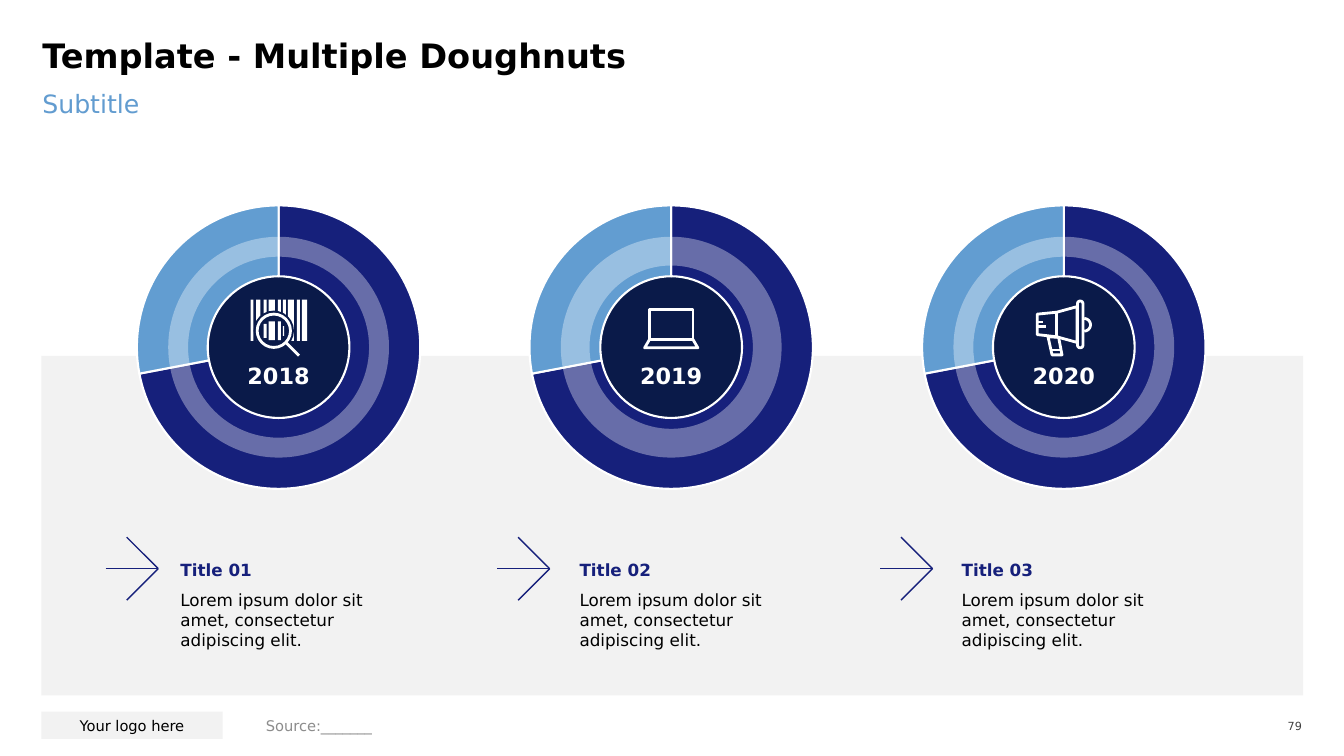
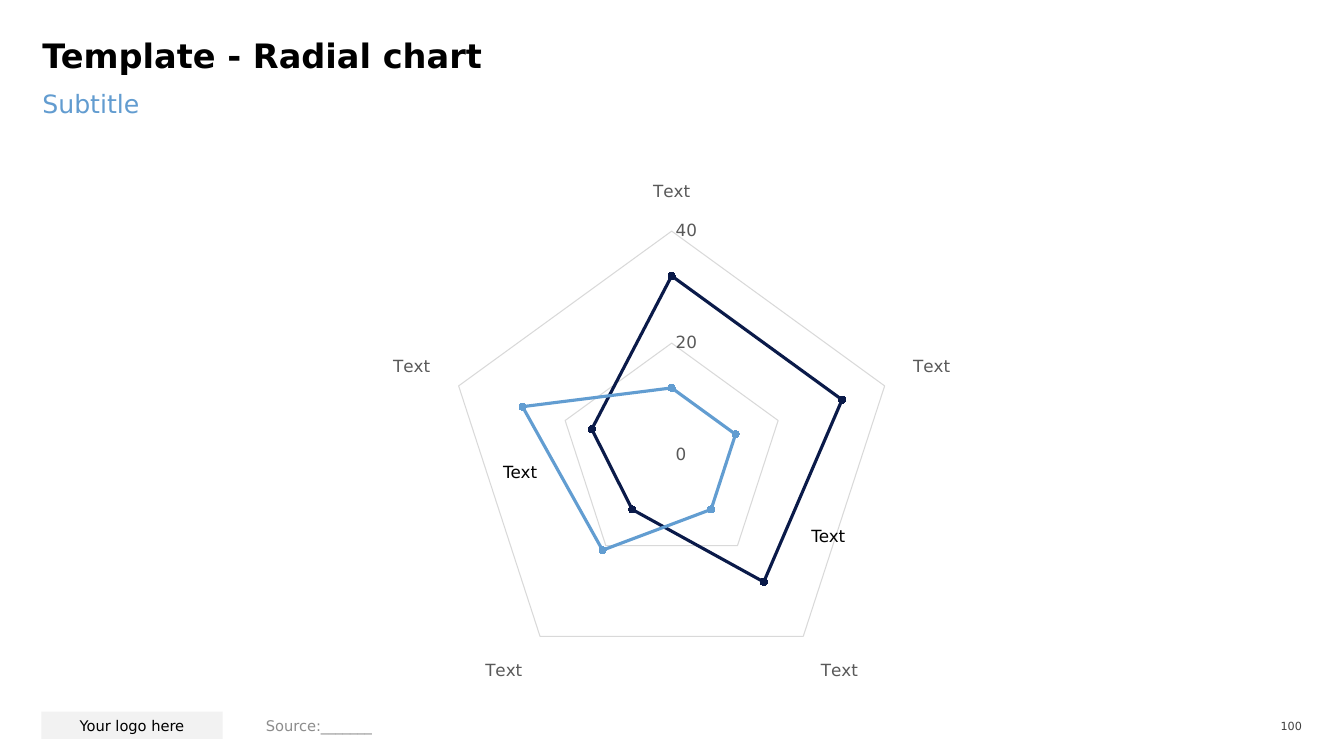
"""Build a doughnut slide and a radar slide in one shared style."""
from dataclasses import dataclass
from math import cos, pi, sin

from lxml.etree import SubElement
from pptx import Presentation
from pptx.chart.data import CategoryChartData
from pptx.dml.color import RGBColor
from pptx.enum.chart import XL_CHART_TYPE as ChartType
from pptx.enum.chart import XL_MARKER_STYLE as Marker
from pptx.enum.chart import XL_TICK_MARK as Tick
from pptx.enum.shapes import MSO_CONNECTOR as Connector
from pptx.enum.shapes import MSO_SHAPE as Preset
from pptx.enum.text import MSO_ANCHOR as Anchor
from pptx.enum.text import PP_ALIGN as Align
from pptx.oxml import parse_xml
from pptx.oxml.ns import nsdecls, qn
from pptx.util import Pt


@dataclass(frozen=True)
class Theme:
    font: str = "DejaVu Sans"
    black: str = "000000"
    white: str = "FFFFFF"
    panel: str = "F2F2F2"
    night: str = "0A1A49"
    navy: str = "16207B"
    sky: str = "629DD1"
    subtitle: str = "629CD0"
    source: str = "8C8C8C"
    number: str = "404040"
    label: str = "595959"
    grid: str = "D9D9D9"
    title_size: float = 24
    subtitle_size: float = 18
    year_size: float = 16
    body_size: float = 12
    footer_size: float = 10.5
    chart_size: float = 10
    number_size: float = 8


THEME = Theme()
NO_INSETS = (0, 0, 0, 0)
BODY_INSETS = (0, 3.6, 7.2, 3.6)
DEFAULT_INSETS = (7.2, 3.6, 7.2, 3.6)
RING_Y = 248
RING_LEFT, RING_PITCH = 199, 280.45
ICON_SIZE, ICON_TOP = 40, 214


def rgb(color):
    return RGBColor.from_string(color)


def centred(x, y, size):
    return x - size / 2, y - size / 2, size, size


class Deck:
    """Hold the style and the current slide, and add each kind of element."""

    def __init__(self):
        self.presentation = Presentation()
        self.presentation.slide_width = Pt(960)
        self.presentation.slide_height = Pt(540)
        self.slide = None

    def start(self, title, number):
        self.slide = self.presentation.slides.add_slide(self.presentation.slide_layouts[6])
        self.text((900, 510.5, 30, 16.5), number, THEME.number_size, THEME.number,
                  align=Align.RIGHT, anchor=Anchor.MIDDLE, insets=NO_INSETS)
        logo = self.shape(Preset.RECTANGLE, (29.5, 508.3, 129.6, 19.5), THEME.panel)
        self.label(logo, "Your logo here", THEME.footer_size, THEME.black,
                   align=Align.CENTER, anchor=Anchor.MIDDLE)
        self.text((30.25, 63.4, 899.3, 45.4), "Subtitle", THEME.subtitle_size, THEME.subtitle,
                  insets=NO_INSETS)
        heading = self.text((30.25, 30.25, 899.3, 38.2), title, THEME.title_size, THEME.black,
                            bold=True, insets=NO_INSETS)
        heading.text_frame.paragraphs[0].line_spacing = 0.8
        self.text((182.9, 509, 460, 18.7), "Source:_______", THEME.footer_size, THEME.source,
                  anchor=Anchor.MIDDLE)

    def label(self, shape, text, size, color, bold=False, align=Align.LEFT,
              anchor=Anchor.TOP, insets=DEFAULT_INSETS, wrap=True):
        frame = shape.text_frame
        frame.text = text
        frame.word_wrap = wrap
        frame.vertical_anchor = anchor
        frame.margin_left, frame.margin_top, frame.margin_right, frame.margin_bottom = map(Pt, insets)
        for paragraph in frame.paragraphs:
            paragraph.alignment = align
            for run in paragraph.runs:
                self.style(run.font, size, color, bold)

    def style(self, font, size, color, bold=False):
        font.name = THEME.font
        font.size = Pt(size)
        font.bold = bold
        font.color.rgb = rgb(color)

    def text(self, box, text, size, color, **options):
        shape = self.slide.shapes.add_textbox(*map(Pt, box))
        self.label(shape, text, size, color, **options)
        return shape

    def paint(self, shape, fill=None, line=None, width=1):
        shape.shadow.inherit = False
        if fill:
            shape.fill.solid()
            shape.fill.fore_color.rgb = rgb(fill)
        else:
            shape.fill.background()
        if line:
            shape.line.color.rgb = rgb(line)
            shape.line.width = Pt(width)
        else:
            shape.line.fill.background()

    def shape(self, preset, box, fill=None, line=None, width=1, opacity=None):
        shape = self.slide.shapes.add_shape(preset, *map(Pt, box))
        self.paint(shape, fill, line, width)
        if opacity is not None:
            color = shape._element.spPr.find(f"{qn('a:solidFill')}/{qn('a:srgbClr')}")
            SubElement(color, qn("a:alpha"), val=str(opacity * 1000))
        return shape

    def outline(self, contours, origin, closed=True, **paint):
        left, top = origin
        placed = [[(Pt(left + x), Pt(top + y)) for x, y in points] for points in contours]
        builder = self.slide.shapes.build_freeform(*placed[0][0], scale=1)
        for index, points in enumerate(placed):
            if index:
                builder.move_to(*points[0])
            builder.add_line_segments(points[1:], close=closed)
        self.paint(builder.convert_to_shape(), **paint)

    def line(self, start, end, color, width=1, shapes=None):
        shapes = self.slide.shapes if shapes is None else shapes
        connector = shapes.add_connector(Connector.STRAIGHT, *map(Pt, (*start, *end)))
        connector.line.color.rgb = rgb(color)
        connector.line.width = Pt(width)
        SubElement(connector._element.spPr, qn("a:effectLst"))

    def arrow(self, tip, y):
        group = self.slide.shapes.add_group_shape()
        for start, end in (((tip - 22.5, y - 22.5), (tip, y)),
                           ((tip, y), (tip - 22.5, y + 22.5)),
                           ((tip - 37.5, y), (tip, y))):
            self.line(start, end, THEME.navy, shapes=group.shapes)

    def chart(self, kind, box, categories, series, layout):
        data = CategoryChartData()
        data.categories = categories
        for name, values in series:
            data.add_series(name, values)
        chart = self.slide.shapes.add_chart(kind, *map(Pt, box), data).chart
        chart.has_legend = False
        chart.has_title = False
        self.style(chart.font, THEME.chart_size, THEME.black)
        space = chart._chartSpace
        space.find(qn("c:chart")).addnext(parse_xml(
            f"<c:spPr {nsdecls('c', 'a')}><a:noFill/><a:ln><a:noFill/></a:ln></c:spPr>"))
        area = space.find(f"{qn('c:chart')}/{qn('c:plotArea')}")
        for old in area.findall(qn("c:layout")):
            area.remove(old)
        sizes = "".join(f'<c:{tag} val="{value}"/>' for tag, value in zip("xywh", layout))
        area.insert(0, parse_xml(
            f"<c:layout {nsdecls('c')}><c:manualLayout><c:layoutTarget val=\"inner\"/>"
            f'<c:xMode val="edge"/><c:yMode val="edge"/>{sizes}</c:manualLayout></c:layout>'))
        return chart

    def doughnut(self, x, y):
        chart = self.chart(ChartType.DOUGHNUT, centred(x, y, 225), ["1", "2"],
                           [("Series 1", (72, 28))], (0.05, 0.05, 0.9, 0.9))
        for hole in chart._chartSpace.iter(qn("c:holeSize")):
            hole.set("val", "60")
        for index, color in enumerate((THEME.navy, THEME.sky)):
            point = chart.plots[0].series[0].points[index].format
            point.fill.solid()
            point.fill.fore_color.rgb = rgb(color)
            point.line.color.rgb = rgb(THEME.white)
            point.line.width = Pt(1.5)

    def radar(self, box, categories, series, layout):
        chart = self.chart(ChartType.RADAR_MARKERS, box, categories,
                           [(name, values) for name, values, _ in series], layout)
        for axis in (chart.category_axis, chart.value_axis):
            axis.major_tick_mark = axis.minor_tick_mark = Tick.NONE
            self.style(axis.tick_labels.font, THEME.body_size, THEME.label)
        chart.category_axis.has_major_gridlines = False
        chart.category_axis.format.line.color.rgb = rgb(THEME.grid)
        values = chart.value_axis
        values.minimum_scale, values.maximum_scale, values.major_unit = 0, 40, 20
        values.has_major_gridlines = True
        values.major_gridlines.format.line.color.rgb = rgb(THEME.grid)
        values.major_gridlines.format.line.width = Pt(0.75)
        values.format.line.fill.background()
        for plotted, (_, _, color) in zip(chart.plots[0].series, series):
            plotted.smooth = False
            plotted.format.line.color.rgb = rgb(color)
            plotted.format.line.width = Pt(2.25)
            plotted.marker.style = Marker.CIRCLE
            plotted.marker.size = 5
            plotted.marker.format.fill.solid()
            plotted.marker.format.fill.fore_color.rgb = rgb(color)
            plotted.marker.format.line.color.rgb = rgb(color)


def bars(spans, top, bottom):
    return [[(a, top), (b, top), (b, bottom), (a, bottom)] for a, b in spans]


def barcode_icon(deck, left, top):
    stripes = [(0, 2), (4, 7), (9.4, 11.5), (13, 17.3), (19.5, 21.6),
               (23, 25.2), (26.7, 31), (33, 35.3), (36.7, 40.3)]
    lens = left + 16.6, top + 22.3
    deck.outline(bars(stripes, 0, 29.5), (left, top), fill=THEME.white)
    deck.shape(Preset.OVAL, centred(*lens, 28.8), THEME.night)
    deck.outline(bars(stripes[2:3], 17.3, 27.4) + bars(stripes[3:5], 15.5, 29)
                 + bars([(23, 24)], 19, 26), (left, top), fill=THEME.white)
    deck.shape(Preset.OVAL, centred(*lens, 23.8), line=THEME.white, width=2)
    deck.line((left + 25.5, top + 31), (left + 34.6, top + 40), THEME.white, 2)


def laptop_icon(deck, left, top):
    screen = [(4.5, 7), (35.5, 7), (35.5, 28.5), (4.5, 28.5)]
    base = [(4.5, 28.5), (35.5, 28.5), (39, 34.5), (1, 34.5)]
    deck.outline([screen, base], (left, top), line=THEME.white, width=2)


def megaphone_icon(deck, left, top):
    cone = [(1, 10.4), (15, 9), (29.5, 5), (29.5, 30.6), (15, 26.6), (1, 25)]
    handle = [(8.7, 26.5), (11.6, 39.5), (18.7, 39.5), (16.3, 27)]
    ear = [(34.6 + 4.5 * sin(step * pi / 12), 18 - 4.5 * cos(step * pi / 12))
           for step in range(13)]
    strokes = [[(15, 9), (15, 26.6)], [(11, 36), (17.8, 36)],
               [(1, 16), (5, 16)], [(1, 19.5), (7, 19.5)]]
    deck.outline([cone, handle], (left, top), line=THEME.white, width=2)
    deck.outline([ear, *strokes], (left, top), closed=False, line=THEME.white, width=2)
    rim = deck.shape(Preset.ROUNDED_RECTANGLE, (left + 29.7, top + 1, 4, 33.5),
                     THEME.night, THEME.white, 2)
    rim.adjustments[0] = 0.5


def doughnut_slide(deck):
    deck.start("Template - Multiple Doughnuts", "79")
    deck.shape(Preset.RECTANGLE, (29.5, 254.2, 901.4, 242.6), THEME.panel)
    columns = [("2018", "Title 01", barcode_icon, 0.09, 113, 128.9),
               ("2019", "Title 02", laptop_icon, 0.13, 392.6, 414),
               ("2020", "Title 03", megaphone_icon, 0.09, 666.1, 686.9)]
    for index, (year, title, icon, thickness, tip, text_left) in enumerate(columns):
        x = RING_LEFT + index * RING_PITCH
        deck.shape(Preset.OVAL, centred(x, RING_Y, 146), THEME.night)
        deck.doughnut(x, RING_Y)
        band = deck.shape(Preset.DONUT, centred(x, RING_Y, 157.7), THEME.white, opacity=35)
        band.adjustments[0] = thickness
        icon(deck, x - ICON_SIZE / 2, ICON_TOP)
        deck.text((x - 30.25, 254.9, 60.5, 26.6), year, THEME.year_size, THEME.white, bold=True,
                  align=Align.CENTER, anchor=Anchor.BOTTOM, wrap=False)
        deck.arrow(tip, 406.2)
        deck.text((text_left, 396, 100, 21.8), title, THEME.body_size, THEME.navy, bold=True,
                  anchor=Anchor.BOTTOM, insets=BODY_INSETS)
        deck.text((text_left, 417.8, 148.3, 65.5),
                  "Lorem ipsum dolor sit amet, consectetur adipiscing elit.",
                  THEME.body_size, THEME.black, insets=BODY_INSETS)


def radar_slide(deck):
    deck.start("Template - Radial chart", "100")
    deck.radar((159.8, 119.5, 640, 377.3), ["Text"] * 5,
               [("Series 1", (32, 32, 28, 12, 15), THEME.night),
                ("Series 2", (12, 12, 12, 21, 28), THEME.sky)], (0.25, 0.12, 0.5, 0.85))
    for left, top, align in ((579.6, 375.8, Align.LEFT), (277.9, 329.8, Align.RIGHT)):
        deck.text((left, top, 105.8, 14.4), "Text", THEME.body_size, THEME.black,
                  align=align, anchor=Anchor.MIDDLE, insets=NO_INSETS)


def main():
    deck = Deck()
    doughnut_slide(deck)
    radar_slide(deck)
    deck.presentation.save("out.pptx")


if __name__ == "__main__":
    main()
